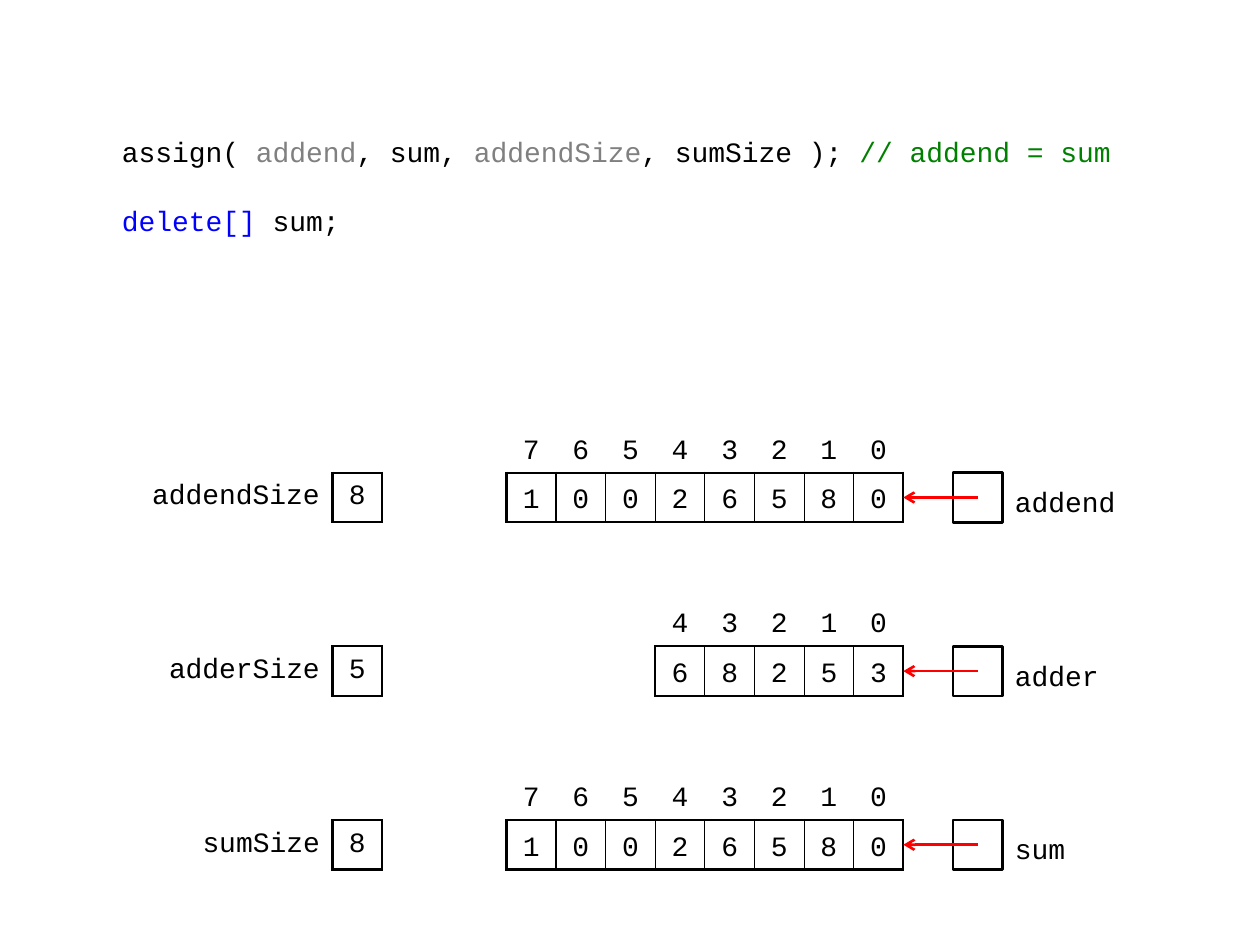
from lxml.etree import SubElement
from pptx import Presentation
from pptx.dml.color import RGBColor
from pptx.enum.shapes import MSO_CONNECTOR, MSO_SHAPE
from pptx.enum.text import MSO_ANCHOR, PP_ALIGN
from pptx.oxml import parse_xml
from pptx.oxml.ns import nsdecls, qn
from pptx.util import Pt

BLACK = RGBColor(0x00, 0x00, 0x00)
WHITE = RGBColor(0xFF, 0xFF, 0xFF)
GRAY = RGBColor(0x80, 0x80, 0x80)
GREEN = RGBColor(0x00, 0x80, 0x00)
BLUE = RGBColor(0x00, 0x00, 0xFF)
RED = RGBColor(0xFF, 0x00, 0x00)

CELL = 28.35
SIZES_RIGHT = 218.3
DIGITS_RIGHT = 516.2
POINTER_LEFT = DIGITS_RIGHT + CELL
FIRST_TOP = 270.1
ROW_STEP = 3.5 * CELL
THICK, THIN = 1.5, 0.75
NO_STYLE = "{2D5ABB26-0587-4C30-8999-92F81FD0307C}"

presentation = Presentation()
presentation.slide_width, presentation.slide_height = Pt(720), Pt(540)
slide = presentation.slides.add_slide(presentation.slide_layouts[6])


def style_run(run, color=BLACK):
    run.font.name = "Courier New"
    run.font.size = Pt(16)
    run.font.color.rgb = color


def add_grid(right, top, widths, rows, align, margins, spacing, borders):
    """Plain table ending at right; borders maps (row, column) to side widths."""
    frame = slide.shapes.add_table(
        len(rows), len(widths), Pt(right - sum(widths)), Pt(top),
        Pt(sum(widths)), Pt(CELL * len(rows)))
    grid = frame.table
    grid.first_row = grid.horz_banding = False
    grid._tbl.tblPr.find(qn("a:tableStyleId")).text = NO_STYLE
    for column, width in zip(grid.columns, widths):
        column.width = Pt(width)
    for r, values in enumerate(rows):
        grid.rows[r].height = Pt(CELL)
        for c, value in enumerate(values):
            cell = grid.cell(r, c)
            cell.fill.background()
            cell.vertical_anchor = MSO_ANCHOR.MIDDLE
            side, edge = margins[r]
            cell.margin_left = cell.margin_right = Pt(side)
            cell.margin_top = cell.margin_bottom = Pt(edge)
            cell.text_frame.text = value
            paragraph = cell.text_frame.paragraphs[0]
            paragraph.alignment = align[c]
            paragraph.line_spacing = spacing
            style_run(paragraph.runs[0])
            properties = cell._tc.get_or_add_tcPr()
            for i, (name, width) in enumerate(borders.get((r, c), {}).items()):
                properties.insert(i, parse_xml(
                    f'<a:ln{name} {nsdecls("a")} w="{Pt(width)}"><a:solidFill>'
                    f'<a:srgbClr val="{BLACK}"/></a:solidFill></a:ln{name}>'))


# Code lines
code_lines = [
    [("assign( ", BLACK), ("addend", GRAY), (", sum, ", BLACK),
     ("addendSize", GRAY), (", sumSize ); ", BLACK), ("// addend = sum", GREEN)],
    [("delete[]", BLUE), (" sum;", BLACK)],
]
code = slide.shapes.add_textbox(Pt(62.6), Pt(71.3), Pt(595.4), Pt(70.6)).text_frame
code.word_wrap = True
code.margin_top = Pt(5.8)
for number, pieces in enumerate(code_lines):
    line = code.add_paragraph() if number else code.paragraphs[0]
    line.space_before = Pt(20.2 * number)
    for words, color in pieces:
        run = line.add_run()
        run.text = words
        style_run(run, color)

# Variables: name, digits, label widths in cells (size, pointer)
variables = [("addend", "10026580", 4, 2.5),
             ("adder", "68253", 4, 2.5),
             ("sum", "10026580", 3, 1.5)]
for index, (name, digits, size_cells, name_cells) in enumerate(variables):
    top = FIRST_TOP + index * ROW_STEP
    count = len(digits)

    # Size label and value
    add_grid(SIZES_RIGHT, top, [size_cells * CELL, CELL],
             [[name + "Size", str(count)]], [PP_ALIGN.RIGHT, PP_ALIGN.CENTER],
             [(7.2, 2.88)], 1.0,
             {(0, 0): {"R": THICK}, (0, 1): dict.fromkeys("LRTB", THICK)})

    # Digit array under its indices
    borders = {}
    for c in range(count):
        borders[0, c] = {"B": THICK}
        borders[1, c] = {"L": THIN if c else THICK,
                         "R": THIN if c < count - 1 else THICK,
                         "T": THICK, "B": THICK}
    indices = [str(i) for i in reversed(range(count))]
    add_grid(DIGITS_RIGHT, top - CELL, [CELL] * count, [indices, digits],
             [PP_ALIGN.CENTER] * count, [(7.2, 1.44), (2.88, 1.44)], 1.25, borders)

    # Pointer name
    label = slide.shapes.add_textbox(Pt(POINTER_LEFT + CELL), Pt(top),
                                     Pt(name_cells * CELL), Pt(CELL)).text_frame
    label.word_wrap = False
    label.vertical_anchor = MSO_ANCHOR.MIDDLE
    label.margin_left, label.margin_right = Pt(7.2), Pt(5.76)
    label.margin_top, label.margin_bottom = Pt(4.6), Pt(0)
    label.text = name
    style_run(label.paragraphs[0].runs[0])

    # Pointer box and arrow
    pointer = slide.shapes.add_shape(MSO_SHAPE.RECTANGLE, Pt(POINTER_LEFT), Pt(top),
                                     Pt(CELL), Pt(CELL))
    pointer.shadow.inherit = False
    pointer.fill.solid()
    pointer.fill.fore_color.rgb = WHITE
    pointer.line.color.rgb = BLACK
    pointer.line.width = Pt(THICK)

    middle = Pt(top + CELL / 2)
    arrow = slide.shapes.add_connector(MSO_CONNECTOR.STRAIGHT,
                                       Pt(POINTER_LEFT + CELL / 2), middle,
                                       Pt(DIGITS_RIGHT), middle)
    arrow.line.color.rgb = RED
    arrow.line.width = Pt(THICK)
    SubElement(arrow.line._get_or_add_ln(), qn("a:tailEnd"), type="arrow")
    SubElement(arrow._element.spPr, qn("a:effectLst"))

presentation.save("out.pptx")
